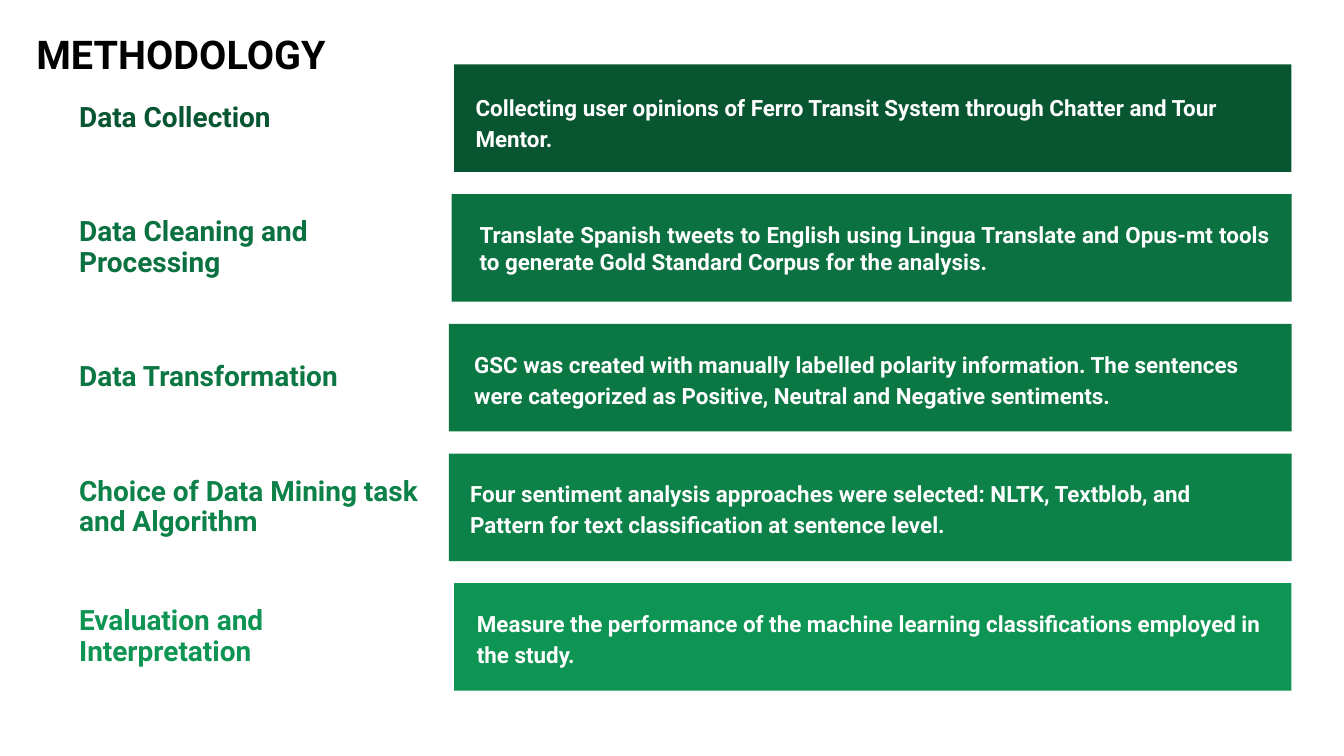
from dataclasses import dataclass
from typing import Any

from pptx import Presentation
from pptx.dml.color import RGBColor as RGB
from pptx.enum.shapes import MSO_SHAPE as Shape
from pptx.enum.text import MSO_ANCHOR as Anchor, MSO_AUTO_SIZE as Fit, PP_ALIGN as Align
from pptx.util import Inches, Pt


@dataclass(frozen=True)
class Theme:
    font: str = "Roboto"
    black: str = "000000"
    white: str = "FFFFFF"
    title: float = 21.2
    label: float = 15
    note: float = 12


@dataclass(frozen=True)
class Step:
    label: str
    note: str
    color: str
    bar: float  # left edge of the bar
    left: float  # left edge of the note
    width: float  # width of the note
    drop: float = 0  # how far the note sits below the bar's middle
    even: bool = False  # justified, with space around


THEME = Theme()
WIDE = 10
HIGH = WIDE * 9 / 16
TOP, LAST, BAR_H = 0.48, 4.34, 0.8
RIGHT = 9.61
TEXT_H = 0.69
LABEL_X, LABEL_W = 0.49, 2.85

STEPS = [
    Step("Data Collection",
         "Collecting user opinions of Ferro Transit System through Chatter and Tour Mentor.",
         "085631", 3.38, 3.44, 6.17, drop=0.02),
    Step("Data Cleaning and Processing",
         "Translate Spanish tweets to English using Lingua Translate and Opus-mt tools "
         "to generate Gold Standard Corpus for the analysis.",
         "0B7140", 3.36, 3.47, 6.08, even=True),
    Step("Data Transformation",
         "GSC was created with manually labelled polarity information. The sentences "
         "were categorized as Positive, Neutral and Negative sentiments.",
         "0B7743", 3.34, 3.43, 6.12),
    Step("Choice of Data Mining task and Algorithm",
         "Four sentiment analysis approaches were selected: NLTK, Textblob, and "
         "Pattern for text classification at sentence level.",
         "0C8148", 3.34, 3.4, 6.13),
    Step("Evaluation and Interpretation",
         "Measure the performance of the machine learning classifications employed in "
         "the study.",
         "0E9453", 3.38, 3.45, 6.08),
]


def write(shape: Any, text: str, *, size: float, color: str, line: float = 1,
          align: Align = Align.LEFT, before: float = 0, after: float = 0,
          pad: tuple[float, float] = (0.1, 0.05)) -> None:
    """Put bold, vertically centred text in a shape."""
    frame = shape.text_frame
    frame.word_wrap = True
    frame.auto_size = Fit.NONE
    frame.vertical_anchor = Anchor.MIDDLE
    frame.margin_left = frame.margin_right = Inches(pad[0])
    frame.margin_top = frame.margin_bottom = Inches(pad[1])
    para = frame.paragraphs[0]
    para.alignment, para.line_spacing = align, line
    para.space_before, para.space_after = Pt(before), Pt(after)
    run = para.add_run()
    run.text = text
    font = run.font
    font.name, font.size, font.bold = THEME.font, Pt(size), True
    font.color.rgb = RGB.from_string(color)


def add_box(slide: Any, left: float, top: float, width: float) -> Any:
    return slide.shapes.add_textbox(
        Inches(left), Inches(top), Inches(width), Inches(TEXT_H))


def add_bar(slide: Any, left: float, top: float, color: str) -> None:
    bar = slide.shapes.add_shape(
        Shape.RECTANGLE, Inches(left), Inches(top), Inches(RIGHT - left), Inches(BAR_H))
    bar.shadow.inherit = False
    bar.fill.solid()
    bar.fill.fore_color.rgb = RGB.from_string(color)
    bar.line.fill.background()


def add_step(slide: Any, step: Step, top: float) -> None:
    mid = top + (BAR_H - TEXT_H) / 2
    write(add_box(slide, LABEL_X, mid, LABEL_W), step.label,
          size=THEME.label, color=step.color, line=0.9)
    add_bar(slide, step.bar, top, step.color)
    form = (dict(align=Align.JUSTIFY, before=8, after=12) if step.even
            else dict(line=1.15))
    write(add_box(slide, step.left, mid + step.drop, step.width), step.note,
          size=THEME.note, color=THEME.white, **form)


def main() -> None:
    deck = Presentation()
    deck.slide_width, deck.slide_height = Inches(WIDE), Inches(HIGH)
    slide = deck.slides.add_slide(deck.slide_layouts[5])

    # Title
    title = slide.shapes.title
    title.left, title.top = Inches(0.2), Inches(0.11)
    title.width, title.height = Inches(9.32), Inches(0.63)
    write(title, "METHODOLOGY", size=THEME.title, color=THEME.black,
          line=0.9, pad=(0.07, 0.04))

    # Steps, evenly spaced from first to last
    pitch = (LAST - TOP) / (len(STEPS) - 1)
    for i, step in enumerate(STEPS):
        add_step(slide, step, TOP + i * pitch)

    deck.save("out.pptx")


if __name__ == "__main__":
    main()
